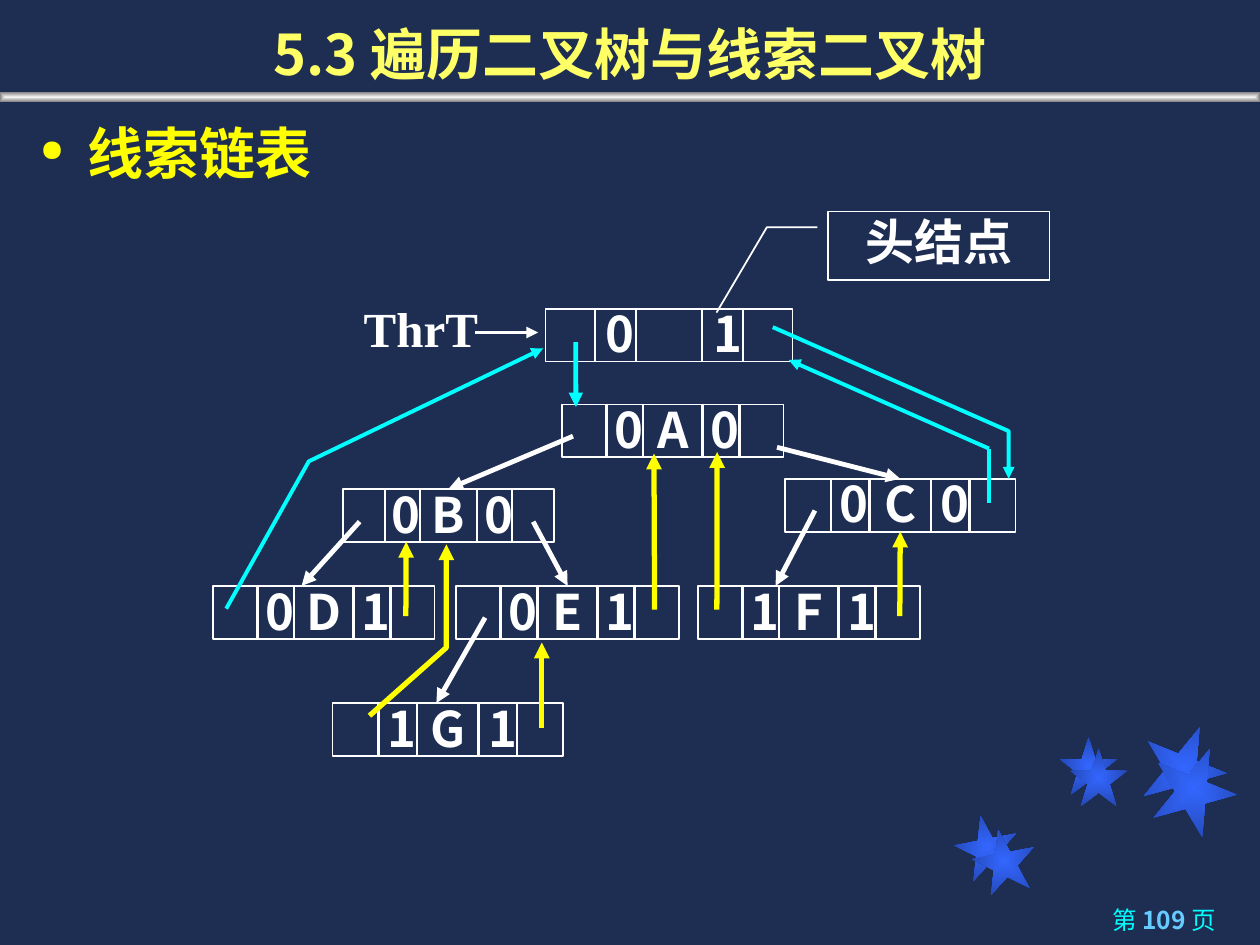
from lxml import etree
from pptx import Presentation
from pptx.dml.color import RGBColor
from pptx.enum.shapes import MSO_CONNECTOR, MSO_SHAPE
from pptx.enum.text import MSO_ANCHOR, PP_ALIGN
from pptx.oxml.ns import qn
from pptx.util import Inches, Pt

NAVY = RGBColor(0x1E, 0x2E, 0x53)
WHITE = RGBColor(0xFF, 0xFF, 0xFF)
YELLOW = RGBColor(0xFF, 0xFF, 0x00)
PALE_YELLOW = RGBColor(0xFF, 0xFF, 0x66)
CYAN = RGBColor(0x00, 0xFF, 0xFF)
SKY = RGBColor(0x66, 0xCC, 0xFF)
STAR_CORE = RGBColor(0x33, 0x66, 0xFF)
STAR_EDGE = RGBColor(0x24, 0x49, 0xB6)
BAR_CORE = RGBColor(0xF2, 0xF2, 0xF2)
BAR_EDGE = RGBColor(0x80, 0x80, 0x80)
CJK = "Noto Sans CJK SC"

# Fields of a node: left pointer, left tag, data, right tag, right pointer
DIVIDERS = (0.2, 0.366, 0.8, 0.634)
FIELD_CENTRES = (0.5, 0.3, 0.737)
NODE_HEIGHT = 0.42

# name: (left, top, width, (data, left tag, right tag))
NODES = {
    "head": (4.33, 2.45, 1.96, ("", "0", "1")),
    "G": (2.64, 5.58, 1.83, ("G", "1", "1")),
    "F": (5.54, 4.65, 1.76, ("F", "1", "1")),
    "E": (3.62, 4.65, 1.77, ("E", "0", "1")),
    "D": (1.69, 4.65, 1.76, ("D", "0", "1")),
    "A": (4.46, 3.21, 1.76, ("A", "0", "0")),
    "B": (2.72, 3.88, 1.68, ("B", "0", "0")),
    "C": (6.23, 3.80, 1.83, ("C", "0", "0")),
}

# Each point is (node, share of its width, share of its height)
CHILD_LINKS = [
    [("A", 0.05, 0.6), ("B", 0.5, 0)],
    [("A", 0.97, 0.81), ("C", 0.5, 0)],
    [("B", 0.08, 0.62), ("D", 0.4, 0)],
    [("E", 0.13, 0.6), ("G", 0.45, 0)],
    [("C", 0.13, 0.6), ("F", 0.35, 0)],
    [("B", 0.9, 0.62), ("E", 0.5, 0)],
]
THREADS = [
    [("D", 0.87, 0.57), ("B", 0.3, 1)],
    [("F", 0.91, 0.57), ("C", 0.5, 1)],
    [("F", 0.085, 0.45), ("A", 0.7, 0.9)],
    [("E", 0.89, 0.45), ("A", 0.415, 0.93)],
    [("G", 0.16, 0.24), ("B", 0.49, 3), ("B", 0.49, 1.05)],
    [("G", 0.907, 0.48), ("E", 0.384, 1.07)],
]
HEAD_THREADS = [
    [("head", 0.92, 0.35), ("C", 0.97, -0.9), ("C", 0.97, 0)],
    [("D", 0.06, 0.43), ("B", -0.16, -0.52), ("head", -0.01, 0.75)],
    [("C", 0.885, -0.57), ("head", 0.985, 0.97)],
]
HEAD_THREAD_STEM = [("C", 0.885, -0.57), ("C", 0.885, 0.45)]
ROOT_LINK = [("head", 0.122, 0.63), ("A", 0.063, 0.05)]
ENTRY_LINK = [("head", -0.285, 0.45), ("head", -0.03, 0.45)]


def inches(*lengths):
    return [Inches(length) for length in lengths]


def add_run(paragraph, text, size=28, font=CJK, color=WHITE, bold=True):
    run = paragraph.add_run()
    run.text = text
    run.font.size = Pt(size)
    run.font.name = font
    run.font.bold = bold
    run.font.color.rgb = color
    east_asian = etree.SubElement(run.font._element, qn("a:ea"))
    east_asian.set("typeface", font)


def add_text(slide, box, text, align=PP_ALIGN.CENTER,
             anchor=MSO_ANCHOR.MIDDLE, wrap=True, **style):
    frame = slide.shapes.add_textbox(*inches(*box)).text_frame
    frame.word_wrap = wrap
    frame.vertical_anchor = anchor
    paragraph = frame.paragraphs[0]
    paragraph.alignment = align
    if text:
        add_run(paragraph, text, **style)
    return paragraph


def add_outline(slide, kind, box):
    shape = slide.shapes.add_shape(kind, *inches(*box))
    shape.shadow.inherit = False
    shape.fill.background()
    shape.line.color.rgb = WHITE
    shape.line.width = Pt(1)
    return shape


def add_glow(slide, kind, box, core, edge, rotation=0):
    """Preset shape shaded from its centre to its edge."""
    shape = slide.shapes.add_shape(kind, *inches(*box))
    shape.shadow.inherit = False
    shape.rotation = rotation
    shape.line.fill.background()
    shape.fill.gradient()
    for stop, color in zip(shape.fill.gradient_stops, (core, edge)):
        stop.color.rgb = color
    gradient = shape._element.spPr.find(qn("a:gradFill"))
    gradient.remove(gradient.find(qn("a:lin")))
    shading = etree.SubElement(gradient, qn("a:path"), path="shape")
    etree.SubElement(shading, qn("a:fillToRect"),
                     l="50000", t="50000", r="50000", b="50000")


def add_line(slide, start, end, color, width):
    line = slide.shapes.add_connector(MSO_CONNECTOR.STRAIGHT, *inches(*start, *end))
    line.line.color.rgb = color
    line.line.width = Pt(width)
    etree.SubElement(line._element.spPr, qn("a:effectLst"))
    return line


def draw_node(slide, left, top, width, fields):
    frame = add_outline(slide, MSO_SHAPE.RECTANGLE, (left, top, width, NODE_HEIGHT))
    for share in DIVIDERS:
        x = left + share * width
        add_line(slide, (x, top), (x, top + NODE_HEIGHT), WHITE, 1.5)
    field_width = 0.36 * width
    for share, text in zip(FIELD_CENTRES, fields):
        if text:
            x = left + share * width - field_width / 2
            add_text(slide, (x, top - 0.09, field_width, 0.57), text)
    return frame


def draw_link(slide, frames, route, color, width, arrow=True):
    """Line along the route: a connector, or a bent line if it has elbows."""
    points = []
    for name, across, down in route:
        left, top, node_width, _ = NODES[name]
        points.append((left + across * node_width, top + down * NODE_HEIGHT))
    if len(points) == 2:
        link = add_line(slide, *points, color, width)
        name, across, down = route[-1]
        if across == 0.5 and down in (0, 1):
            link.end_connect(frames[name], 2 * down)
    else:
        corners = [tuple(inches(*point)) for point in points]
        builder = slide.shapes.build_freeform(*corners[0])
        builder.add_line_segments(corners[1:], close=False)
        link = builder.convert_to_shape()
        link.shadow.inherit = False
        link.fill.background()
        link.line.color.rgb = color
        link.line.width = Pt(width)
    if arrow:
        etree.SubElement(link._element.spPr.find(qn("a:ln")), qn("a:tailEnd"),
                         type="triangle")


def draw_stars(slide):
    for left, top, size, rotation in (
            (7.58, 6.47, 0.5, 349), (8.41, 5.85, 0.46, 0), (9.06, 5.75, 0.67, 22),
            (7.72, 6.58, 0.5, 349), (8.49, 5.94, 0.46, 0), (9.14, 5.92, 0.67, 22)):
        add_glow(slide, MSO_SHAPE.STAR_5_POINT, (left, top, size, size),
                 STAR_CORE, STAR_EDGE, rotation)


def draw_headings(slide):
    add_text(slide, (0, -0.01, 10, 0.75), "5.3 遍历二叉树与线索二叉树",
             anchor=MSO_ANCHOR.BOTTOM, size=32, color=PALE_YELLOW)
    topic = add_text(slide, (0.22, 0.84, 9.5, 0.89), "线索链表", align=PP_ALIGN.LEFT,
                     anchor=MSO_ANCHOR.TOP, size=32, font="Arial", color=YELLOW)
    topic.line_spacing = 1.1
    layout = topic._p.get_or_add_pPr()
    layout.set("marL", str(Inches(0.38)))
    layout.set("indent", str(-Inches(0.38)))
    bullet_color = etree.SubElement(layout, qn("a:buClr"))
    etree.SubElement(bullet_color, qn("a:srgbClr"), val=str(YELLOW))
    etree.SubElement(layout, qn("a:buSzPct"), val="54000")
    etree.SubElement(layout, qn("a:buChar"), char="●")


def draw_page_number(slide, box):
    footer = add_text(slide, box, "", align=PP_ALIGN.RIGHT)
    for text, color, bold in (("第 ", CYAN, False), ("109 ", SKY, True), ("页", CYAN, False)):
        add_run(footer, text, size=14, color=color, bold=bold)


def draw_threaded_tree(slide):
    # Label of the head node
    callout = add_outline(slide, MSO_SHAPE.LINE_CALLOUT_2, (6.57, 1.68, 1.76, 0.54))
    for index, value in enumerate((0.231, -0.047, 0.231, -0.275, 1.484, -0.502)):
        callout.adjustments[index] = value
    label = callout.text_frame
    label.margin_left = label.margin_right = label.margin_top = label.margin_bottom = 0
    label.vertical_anchor = MSO_ANCHOR.TOP
    label.paragraphs[0].alignment = PP_ALIGN.CENTER
    add_run(label.paragraphs[0], "头结点")
    add_text(slide, (2.74, 2.32, 1.2, 0.57), "ThrT", wrap=False, font="Times New Roman")
    # Nodes, then the links over them
    frames = {name: draw_node(slide, *node) for name, node in NODES.items()}
    for routes, color, width in ((CHILD_LINKS, WHITE, 2.75), (THREADS, YELLOW, 3),
                                 (HEAD_THREADS, CYAN, 2.25), ([ROOT_LINK], CYAN, 2.75),
                                 ([ENTRY_LINK], WHITE, 2.25)):
        for route in routes:
            draw_link(slide, frames, route, color, width)
    draw_link(slide, frames, HEAD_THREAD_STEM, CYAN, 2.25, arrow=False)


def main():
    deck = Presentation()
    deck.slide_width, deck.slide_height = inches(10, 7.5)
    slide = deck.slides.add_slide(deck.slide_layouts[6])
    slide.background.fill.solid()
    slide.background.fill.fore_color.rgb = NAVY
    draw_stars(slide)
    add_glow(slide, MSO_SHAPE.RECTANGLE, (0, 0.73, 10, 0.08), BAR_CORE, BAR_EDGE)
    draw_page_number(slide, (7.12, 7.12, 2.63, 0.36))
    draw_headings(slide)
    draw_threaded_tree(slide)
    deck.save("out.pptx")


if __name__ == "__main__":
    main()
